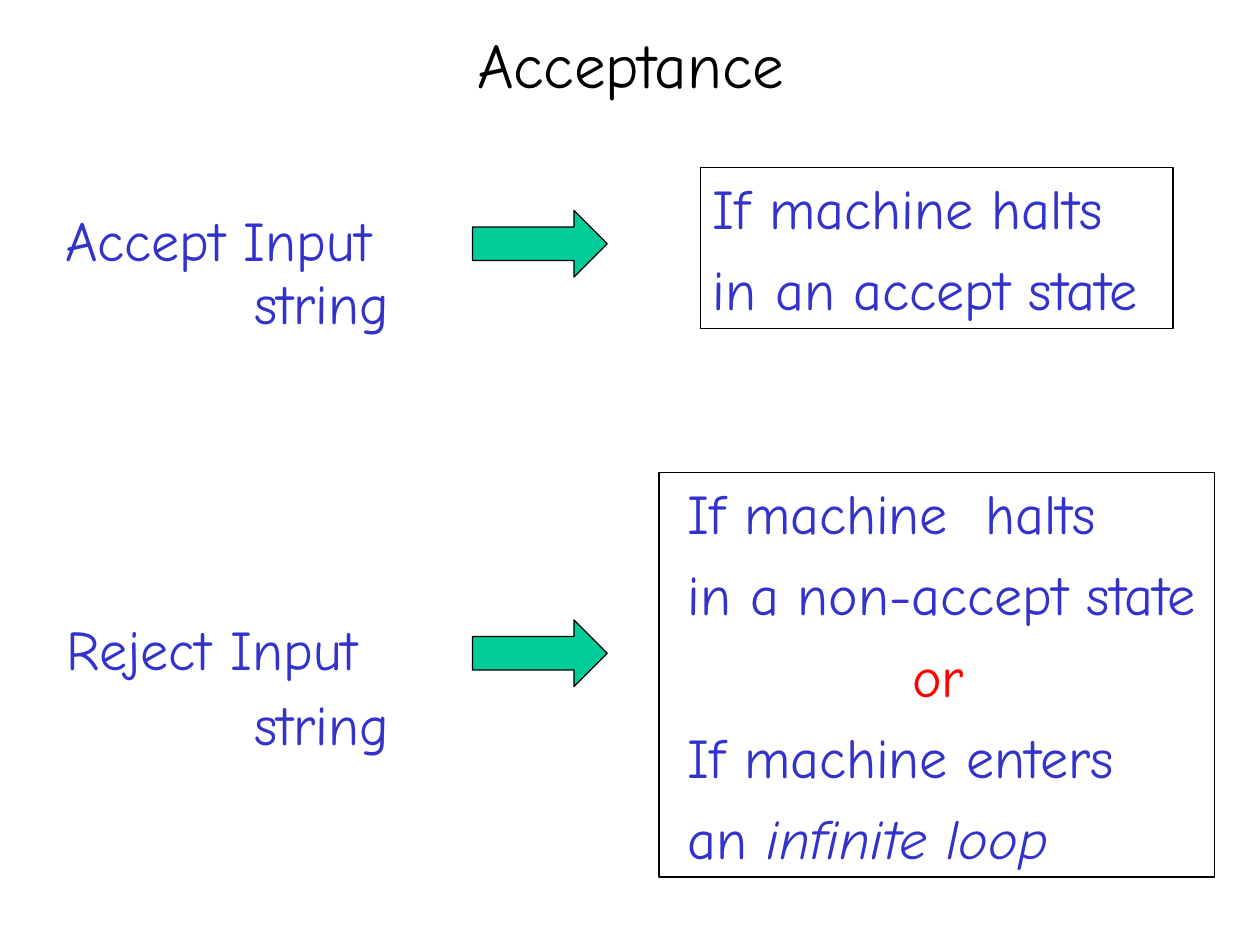
from pptx import Presentation
from pptx.dml.color import RGBColor
from pptx.enum.shapes import MSO_SHAPE as Shape
from pptx.enum.text import MSO_ANCHOR as Anchor, MSO_AUTO_SIZE as AutoSize, PP_ALIGN as Align
from pptx.util import Inches, Pt

FONT = "Comic Neue"
COLORS = {"title": "000000", "text": "3333CC", "or": "FF0000",
          "arrow": "00CC99", "line": "000000"}

TITLE = "Acceptance"
# Labels: text, left, top, width
LABELS = [
    ("Accept Input", 0.42, 1.58, 2.63),
    ("string", 1.92, 2.08, 1.27),
    ("Reject Input", 0.43, 4.83, 2.52),
    ("string", 1.92, 5.42, 1.27),
]
LABEL_HEIGHT = 0.64
ARROW_LEFT, ARROW_WIDTH, ARROW_HEIGHT = 3.75, 1.07, 0.53
ARROW_TOPS = [1.67, 4.92]
# Conditions: position, then lines of (indent, [(text, color, italic), ...])
CONDITIONS = [
    ((5.56, 1.33, 3.75, 1.28), [
        (0, [("If machine halts", "text", False)]),
        (0, [("in an accept state", "text", False)]),
    ]),
    ((5.23, 3.75, 4.41, 3.21), [
        (0.13, [("If machine  halts", "text", False)]),
        (0.13, [("in a non-accept state", "text", False)]),
        (1.91, [("or", "or", False)]),
        (0.13, [("If machine enters", "text", False)]),
        (0.13, [("an ", "text", False), ("infinite loop", "text", True)]),
    ]),
]


def color(name):
    return RGBColor.from_string(COLORS[name])


def add_span(para, text, color_name, size=32, italic=False):
    span = para.add_run()
    span.text = text
    span.font.name = FONT
    span.font.size = Pt(size)
    span.font.italic = italic
    span.font.color.rgb = color(color_name)


def add_outlined(slide, kind, position):
    shape = slide.shapes.add_shape(kind, *map(Inches, position))
    shape.shadow.inherit = False
    shape.line.color.rgb = color("line")
    shape.line.width = Pt(0.75)
    return shape


def add_title(slide):
    title = slide.shapes.title
    title.left, title.top = Inches(0.17), Inches(0.17)
    title.width, title.height = Inches(9.67), Inches(0.67)
    title.text_frame.vertical_anchor = Anchor.MIDDLE
    para = title.text_frame.paragraphs[0]
    para.alignment = Align.CENTER
    add_span(para, TITLE, "title", size=36)


def add_label(slide, text, left, top, width):
    box = slide.shapes.add_textbox(*map(Inches, (left, top, width, LABEL_HEIGHT)))
    box.text_frame.word_wrap = False
    box.text_frame.auto_size = AutoSize.SHAPE_TO_FIT_TEXT
    add_span(box.text_frame.paragraphs[0], text, "text")


def add_arrow(slide, top):
    arrow = add_outlined(slide, Shape.RIGHT_ARROW,
                         (ARROW_LEFT, top, ARROW_WIDTH, ARROW_HEIGHT))
    arrow.fill.solid()
    arrow.fill.fore_color.rgb = color("arrow")


def add_condition(slide, position, lines):
    box = add_outlined(slide, Shape.RECTANGLE, position)
    box.fill.background()
    frame = box.text_frame
    frame.word_wrap = True
    frame.vertical_anchor = Anchor.TOP
    frame.margin_right = Inches(0.05)
    for index, (indent, spans) in enumerate(lines):
        para = frame.add_paragraph() if index else frame.paragraphs[0]
        para.alignment = Align.LEFT
        if index:
            para.space_before = Pt(8)
        if indent:
            para._p.get_or_add_pPr().set("marL", str(Inches(indent)))
        for text, color_name, italic in spans:
            add_span(para, text, color_name, italic=italic)


def main():
    deck = Presentation()
    deck.slide_width, deck.slide_height = Inches(10), Inches(7.5)
    slide = deck.slides.add_slide(deck.slide_layouts[5])
    add_title(slide)
    for label in LABELS:
        add_label(slide, *label)
    for top in ARROW_TOPS:
        add_arrow(slide, top)
    for position, lines in CONDITIONS:
        add_condition(slide, position, lines)
    deck.save("out.pptx")


if __name__ == "__main__":
    main()
